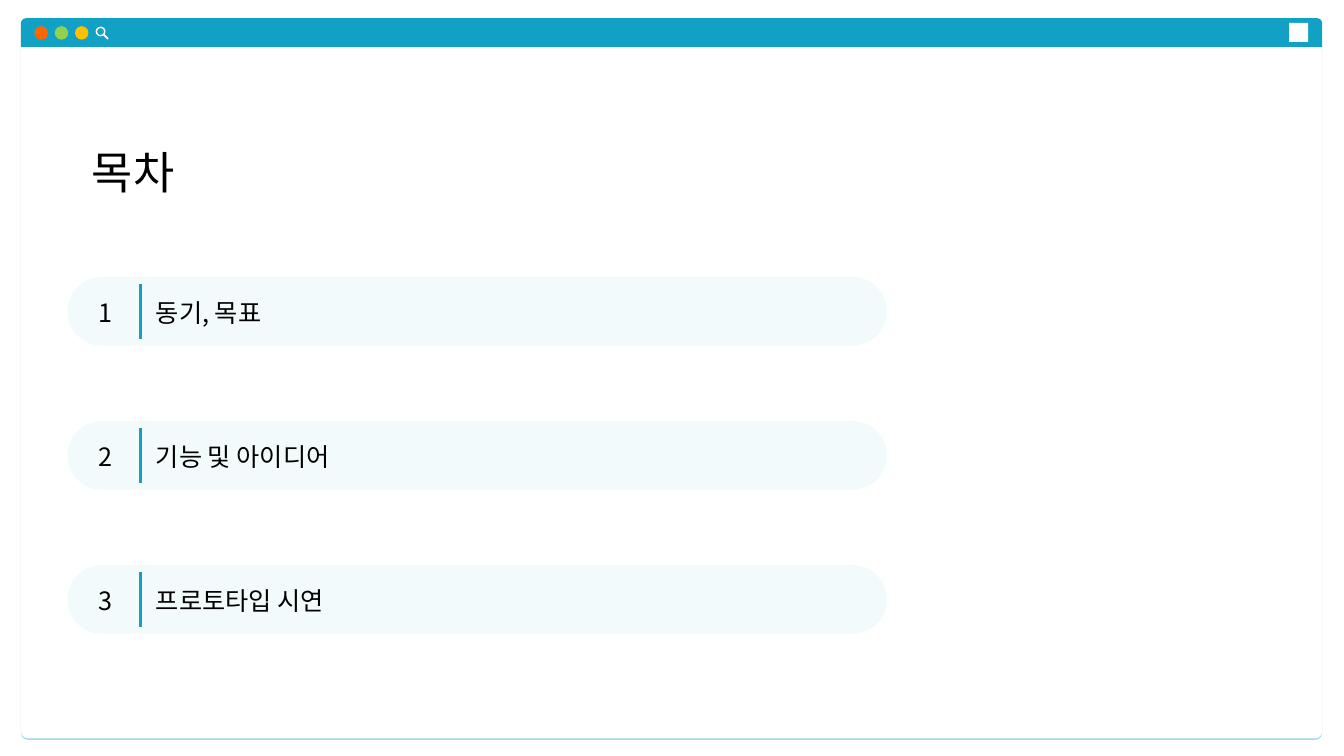
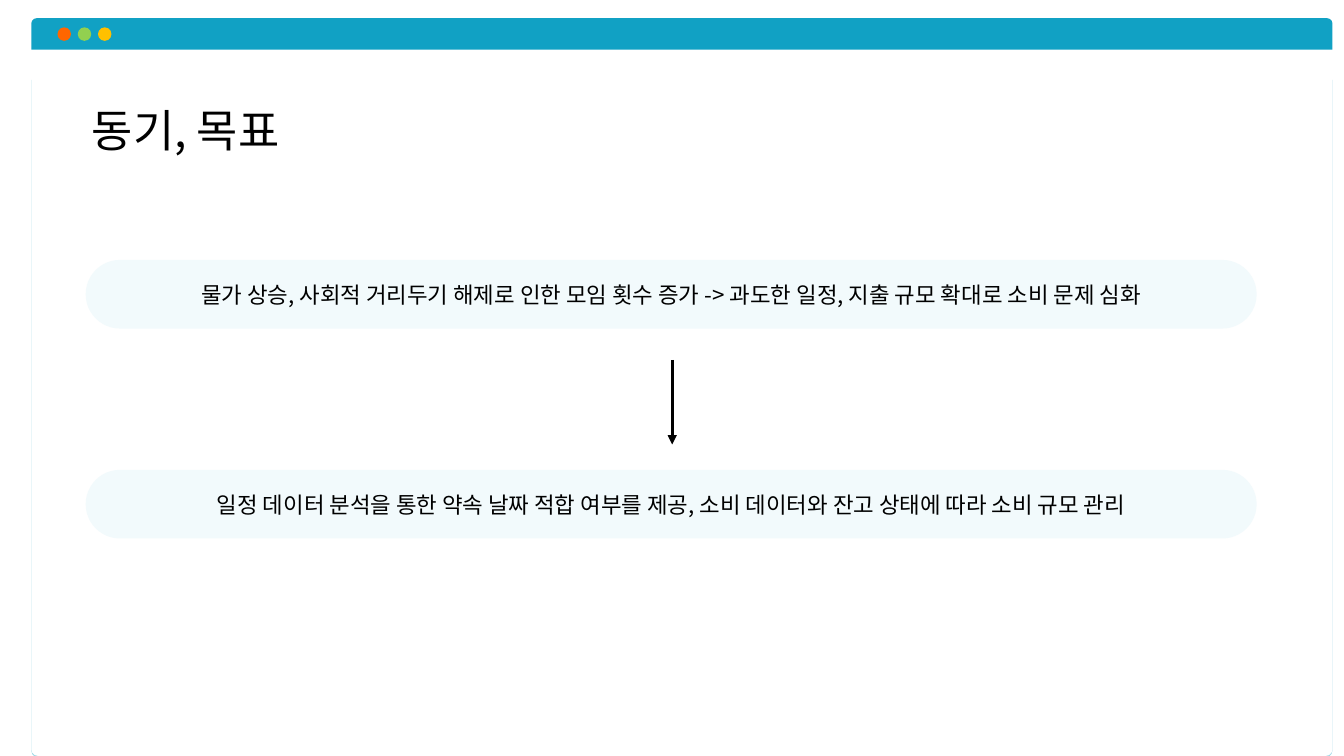
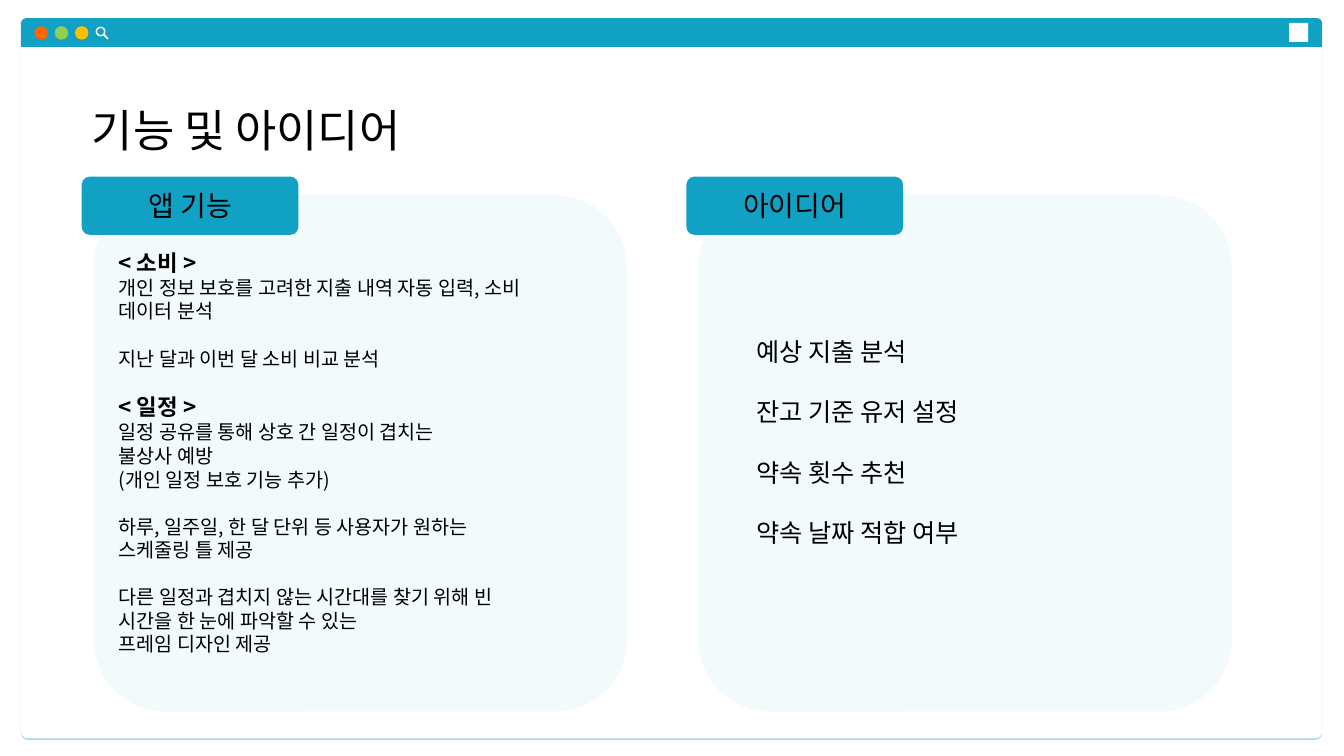
"""Build three window-styled slides for a spending and schedule planner."""
import lxml.etree
import pptx
import pptx.dml.color
import pptx.enum.shapes
import pptx.enum.text
import pptx.oxml.ns
import pptx.util

Cm = pptx.util.Cm
Pt = pptx.util.Pt
qn = pptx.oxml.ns.qn
SHAPE = pptx.enum.shapes.MSO_SHAPE
ALIGN = pptx.enum.text.PP_ALIGN
ANCHOR = pptx.enum.text.MSO_ANCHOR

FONT = "Noto Sans CJK KR"
LEADING = 1.2
COLORS = {
    "accent": "11A1C4",
    "panel": "F2FAFC",
    "white": "FFFFFF",
    "ink": "000000",
    "close": "FF6600",
    "minimize": "92D050",
    "expand": "FFC000",
}


def rgb(name):
    return pptx.dml.color.RGBColor.from_string(COLORS[name])


def write(frame, text, *, size, bold=False, align=ALIGN.LEFT, after=0):
    paragraph = frame.add_paragraph() if frame.text else frame.paragraphs[0]
    paragraph.alignment = align
    paragraph.line_spacing = Pt(size * LEADING)
    paragraph.space_before = Pt(0)
    paragraph.space_after = Pt(after)
    run = paragraph.add_run()
    run.text = text
    run.font.size = Pt(size)
    run.font.bold = bold
    run.font.color.rgb = rgb("ink")
    run.font.name = FONT
    properties = run.font.element if hasattr(run.font, "element") else paragraph.runs[-1]._r.rPr
    lxml.etree.SubElement(properties, qn("a:ea"), typeface=FONT)


class Deck:
    def __init__(self):
        self.presentation = pptx.Presentation()
        self.presentation.slide_width = Cm(33.87)
        self.presentation.slide_height = Cm(19.05)
        self.slide = None

    def shape(self, kind, left, top, width, height, color, adjust=()):
        shape = self.slide.shapes.add_shape(kind, Cm(left), Cm(top), Cm(width), Cm(height))
        shape.shadow.inherit = False
        shape.fill.solid()
        shape.fill.fore_color.rgb = rgb(color)
        shape.line.fill.background()
        for index, value in enumerate(adjust):
            shape.adjustments[index] = value
        return shape

    def panel(self, left, top, width, height, color="panel", corner=0.5, text="", size=16):
        panel = self.shape(SHAPE.ROUNDED_RECTANGLE, left, top, width, height, color, [corner])
        if text:
            panel.text_frame.vertical_anchor = ANCHOR.MIDDLE
            write(panel.text_frame, text, size=size, align=ALIGN.CENTER)

    def text(self, left, top, width, height):
        frame = self.slide.shapes.add_textbox(Cm(left), Cm(top), Cm(width), Cm(height)).text_frame
        frame.word_wrap = True
        return frame

    def line(self, x, top, bottom, color, weight=2.25, arrow=False):
        line = self.slide.shapes.add_connector(
            pptx.enum.shapes.MSO_CONNECTOR.STRAIGHT, Cm(x[0]), Cm(top), Cm(x[1]), Cm(bottom))
        line.line.color.rgb = rgb(color)
        line.line.width = Pt(weight)
        properties = line.element.spPr
        if arrow:
            lxml.etree.SubElement(properties.find(qn("a:ln")), qn("a:tailEnd"), type="triangle")
        lxml.etree.SubElement(properties, qn("a:effectLst"))

    def page(self, left, top, height):
        page = self.shape(SHAPE.ROUND_2_SAME_RECTANGLE, left, top, 32.79, height, "white", [0, 0.01])
        effects = page.element.spPr.find(qn("a:effectLst"))
        shadow = lxml.etree.SubElement(
            effects, qn("a:outerShdw"), dist=str(Pt(1)), dir="5400000", algn="t", rotWithShape="0")
        tint = lxml.etree.SubElement(shadow, qn("a:srgbClr"), val=COLORS["accent"])
        lxml.etree.SubElement(tint, qn("a:alpha"), val="40000")

    def window(self, left=0.53, bar_height=0.74, page_top=1.19, page_height=17.42,
               buttons_left=0.87, buttons_top=0.66, tools=True):
        self.shape(SHAPE.ROUND_2_SAME_RECTANGLE, left, 0.46, 32.79, bar_height, "accent")
        self.page(left, page_top, page_height)
        for index, button in enumerate(("close", "minimize", "expand")):
            self.shape(SHAPE.OVAL, buttons_left + index * 0.51, buttons_top, 0.34, 0.34, button)
        if tools:
            self.shape(SHAPE.DONUT, 2.41, 0.67, 0.25, 0.25, "white", [0.15])
            self.line((2.61, 2.72), 0.87, 0.98, "white", 1.25)
            self.shape(SHAPE.RECTANGLE, 32.49, 0.58, 0.48, 0.48, "white")

    def new_slide(self, title, title_width, title_top=2.45, **window):
        layout = self.presentation.slide_layouts.get_by_name("Title Only")
        self.slide = self.presentation.slides.add_slide(layout)
        self.window(**window)
        heading = self.slide.shapes.title
        heading.left, heading.top = Cm(2.06), Cm(title_top)
        heading.width, heading.height = Cm(title_width), Cm(1.63)
        heading.element.getparent().append(heading.element)
        frame = heading.text_frame
        frame.auto_size = pptx.enum.text.MSO_AUTO_SIZE.NONE
        frame.vertical_anchor = ANCHOR.TOP
        frame.margin_right = 0
        write(frame, title, size=32)


def contents(deck):
    deck.new_slide("목차", 2.95, title_top=3.52)
    for index, chapter in enumerate(("동기, 목표", "기능 및 아이디어", "프로토타입 시연")):
        top = 6.98 + index * 3.63
        deck.panel(1.7, top, 20.65, 1.73)
        write(deck.text(3.68, top + 0.39, 6.91, 1.02), chapter, size=18)
        deck.line((3.53, 3.53), top + 0.18, top + 1.55, "accent")
        write(deck.text(2.11, top + 0.39, 1.12, 1.02), str(index + 1), size=18, align=ALIGN.CENTER)


def motivation(deck):
    deck.new_slide("동기, 목표", 5.89, left=0.79, bar_height=0.79, page_top=1.98,
                   page_height=17.07, buttons_left=1.45, buttons_top=0.69, tools=False)
    problem = "물가 상승, 사회적 거리두기 해제로 인한 모임 횟수 증가 -> 과도한 일정, 지출 규모 확대로 소비 문제 심화"
    goal = "일정 데이터 분석을 통한 약속 날짜 적합 여부를 제공, 소비 데이터와 잔고 상태에 따라 소비 규모 관리"
    for top, statement in ((6.55, problem), (11.84, goal)):
        deck.panel(2.16, top, 29.51, 1.73, text=statement)
    deck.line((16.94, 16.94), 9.07, 11.2, "ink", arrow=True)


def features(deck):
    deck.new_slide("기능 및 아이디어", 11.96)
    for left, heading in ((2.06, "앱 기능"), (17.3, "아이디어")):
        deck.panel(left + 0.3, 4.92, 13.44, 13.01, corner=0.14)
        deck.panel(left, 4.45, 5.46, 1.47, "accent", 0.14, heading, 20)

    functions = {
        "< 소비 >": (
            ("개인 정보 보호를 고려한 지출 내역 자동 입력, 소비 데이터 분석",),
            ("지난 달과 이번 달 소비 비교 분석",),
        ),
        "< 일정 >": (
            ("일정 공유를 통해 상호 간 일정이 겹치는", "불상사 예방", "(개인 일정 보호 기능 추가)"),
            ("하루, 일주일, 한 달 단위 등 사용자가 원하는", "스케줄링 틀 제공"),
            ("다른 일정과 겹치지 않는 시간대를 찾기 위해 빈 시간을 한 눈에 파악할 수 있는",
             "프레임 디자인 제공"),
        ),
    }
    details = deck.text(2.74, 6.15, 10.7, 10.59)
    for topic, groups in functions.items():
        write(details, topic, size=16, bold=True)
        for group in groups:
            for index, sentence in enumerate(group, 1):
                write(details, sentence, size=14, after=16.8 if index == len(group) else 0)

    ideas = deck.text(18.82, 8.35, 11, 7.19)
    for idea in ("예상 지출 분석", "잔고 기준 유저 설정", "약속 횟수 추천", "약속 날짜 적합 여부"):
        write(ideas, idea, size=18, after=21.6)


def main():
    deck = Deck()
    contents(deck)
    motivation(deck)
    features(deck)
    deck.presentation.save("out.pptx")


if __name__ == "__main__":
    main()
